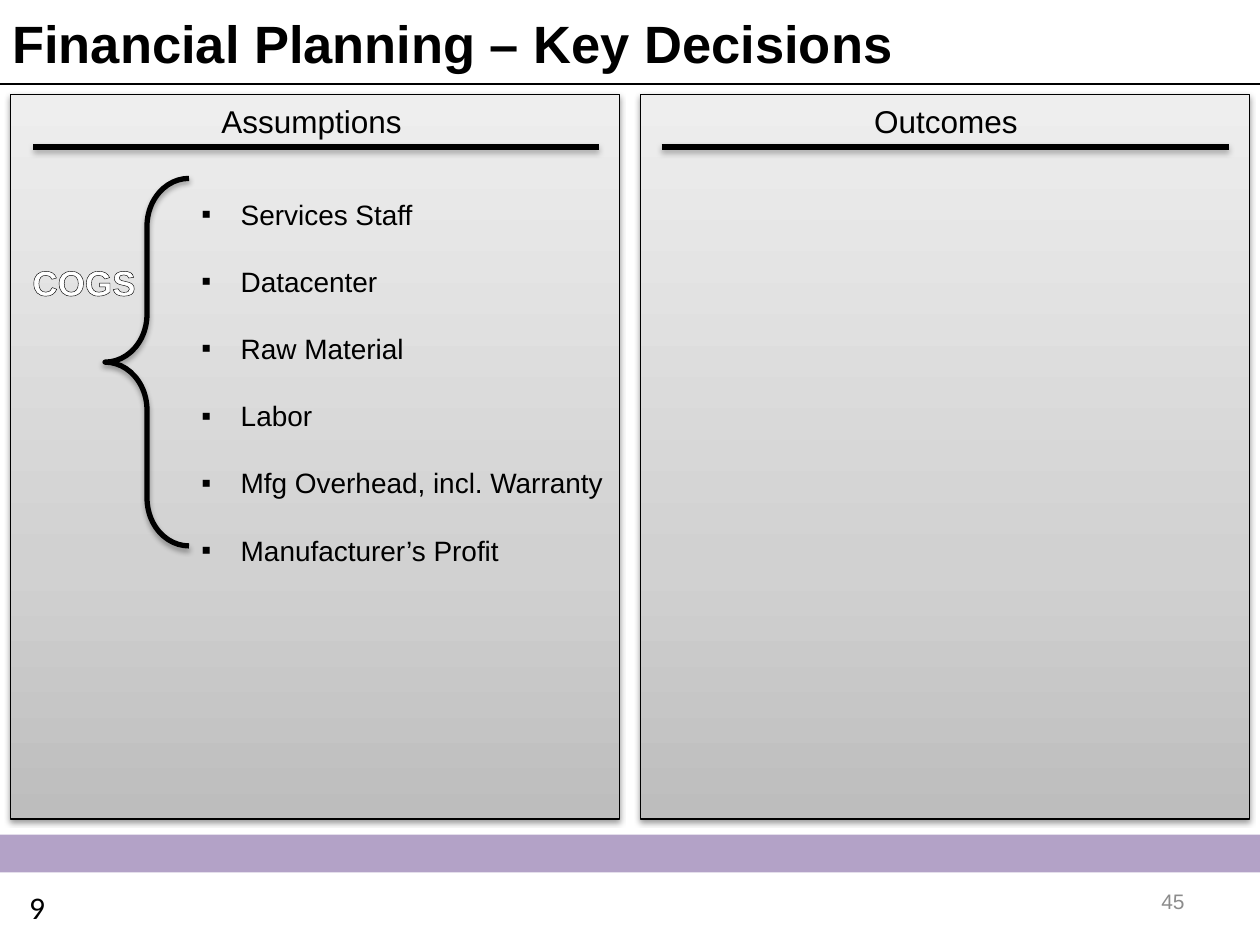
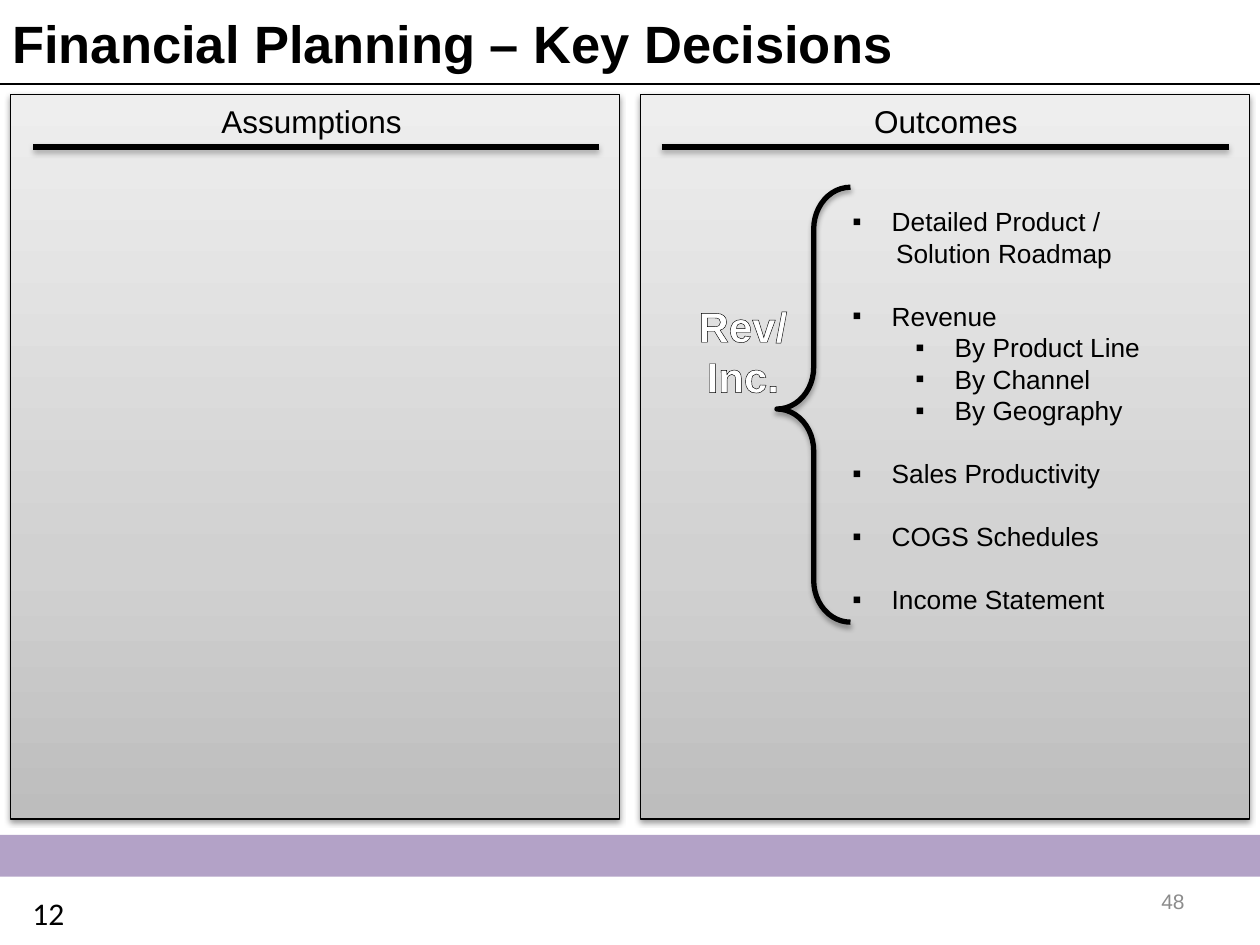
from dataclasses import dataclass

from lxml.etree import SubElement
from pptx import Presentation
from pptx.dml.color import RGBColor
from pptx.enum.shapes import MSO_CONNECTOR, MSO_SHAPE
from pptx.enum.text import MSO_ANCHOR, PP_ALIGN
from pptx.oxml.ns import qn
from pptx.util import Pt

BLACK, WHITE, GRAY, LAVENDER = "000000", "FFFFFF", "8C8C8C", "B3A2C7"
PANEL_STOPS = ((0, "BDBDBD"), (35, "D1D1D1"), (100, "EEEEEE"))
BULLET_INDENT = 22.5


@dataclass(frozen=True)
class Area:
    left: float
    top: float
    width: float
    height: float

    def lengths(self) -> tuple:
        return Pt(self.left), Pt(self.top), Pt(self.width), Pt(self.height)


@dataclass(frozen=True)
class Style:
    size: float
    color: str = BLACK
    bold: bool = False
    font: str = "Arial"
    outlined: bool = False


@dataclass(frozen=True)
class Shadow:
    blur: float
    distance: float
    opacity: int


@dataclass(frozen=True)
class Item:
    text: str
    indent: float = BULLET_INDENT
    bullet: bool = True
    spacing: float = 2


@dataclass(frozen=True)
class Panel:
    heading: str
    area: Area
    heading_area: Area
    rule_left: float
    rule_right: float


@dataclass(frozen=True)
class Decisions:
    items: tuple[Item, ...]
    items_area: Area
    item_size: float
    brace_area: Area
    brace_tip: float
    label: tuple[str, ...]
    label_area: Area
    label_size: float
    band_height: float
    step: str
    step_area: Area
    page_number: str


PANEL_SHADOW = Shadow(3.15, 1.57, 38)
LINE_SHADOW = Shadow(3.15, 1.81, 35)
PANELS = (
    Panel("Assumptions", Area(6, 54, 348, 414), Area(119.5, 55, 124, 29), 19, 342),
    Panel("Outcomes", Area(366, 54, 348, 414), Area(492.5, 55, 97, 29), 378, 702),
)


def sub_item(text: str) -> Item:
    return Item(text, indent=58.5, spacing=1)


COGS = Decisions(
    items=(
        Item("Services Staff"),
        Item("Datacenter"),
        Item("Raw Material"),
        Item("Labor"),
        Item("Mfg Overhead, incl. Warranty"),
        Item("Manufacturer’s Profit"),
    ),
    items_area=Area(108, 90, 271, 278.5),
    item_size=16,
    brace_area=Area(60, 102, 48, 210),
    brace_tip=0.5,
    label=("COGS",),
    label_area=Area(6, 145.5, 84, 45),
    label_size=20,
    band_height=21.5,
    step="9",
    step_area=Area(9.5, 504, 24, 29),
    page_number="45",
)
REVENUE = Decisions(
    items=(
        Item("Detailed Product /"),
        Item("Solution Roadmap", indent=25, bullet=False, spacing=1),
        Item("Revenue"),
        sub_item("By Product Line"),
        sub_item("By Channel"),
        sub_item("By Geography"),
        Item("Sales Productivity"),
        Item("COGS Schedules"),
        Item("Income Statement"),
    ),
    items_area=Area(480, 96, 210, 262),
    item_size=15,
    brace_area=Area(444, 107, 42, 248.5),
    brace_tip=0.51,
    label=("Rev/", "Inc."),
    label_area=Area(374.5, 168, 100, 65.5),
    label_size=24,
    band_height=24,
    step="12",
    step_area=Area(11.5, 507.5, 33, 29),
    page_number="48",
)


def rgb(color: str) -> RGBColor:
    return RGBColor.from_string(color)


def add_solid_fill(parent, color: str):
    """Append a solid fill element and return its colour element."""
    fill = SubElement(parent, qn("a:solidFill"))
    return SubElement(fill, qn("a:srgbClr"), val=color)


def add_span(para, text: str, style: Style) -> None:
    span = para.add_run()
    span.text = text
    font = span.font
    font.name, font.size, font.bold = style.font, Pt(style.size), style.bold
    font.color.rgb = rgb(style.color)
    if style.outlined:
        properties = span._r.get_or_add_rPr()
        outline = SubElement(properties, qn("a:ln"), w=str(Pt(0.83)))
        add_solid_fill(outline, BLACK)
        properties.insert(0, outline)


def add_text(page, area: Area, lines: tuple[str, ...], style: Style,
             align=PP_ALIGN.LEFT, anchor=MSO_ANCHOR.TOP, wrap: bool = True) -> None:
    frame = page.shapes.add_textbox(*area.lengths()).text_frame
    frame.word_wrap, frame.vertical_anchor = wrap, anchor
    for index, line in enumerate(lines):
        para = frame.add_paragraph() if index else frame.paragraphs[0]
        para.alignment = align
        add_span(para, line, style)


def add_items(page, area: Area, items: tuple[Item, ...], style: Style) -> None:
    frame = page.shapes.add_textbox(*area.lengths()).text_frame
    frame.word_wrap = True
    for index, item in enumerate(items):
        para = frame.add_paragraph() if index else frame.paragraphs[0]
        para.line_spacing = item.spacing
        properties = para._p.get_or_add_pPr()
        properties.set("marL", str(Pt(item.indent)))
        if item.bullet:
            properties.set("indent", str(-Pt(BULLET_INDENT)))
            SubElement(properties, qn("a:buFont"), typeface="Arial")
            SubElement(properties, qn("a:buChar"), char="▪")
        add_span(para, item.text, style)


def add_shadow(shape, shadow: Shadow | None) -> None:
    """Replace the theme shadow by the given one, or by none."""
    properties = shape._element.spPr
    effects = SubElement(properties, qn("a:effectLst"))
    if shadow:
        outer = SubElement(effects, qn("a:outerShdw"), blurRad=str(Pt(shadow.blur)),
                           dist=str(Pt(shadow.distance)), dir="5400000", rotWithShape="0")
        color = SubElement(outer, qn("a:srgbClr"), val=BLACK)
        SubElement(color, qn("a:alpha"), val=str(shadow.opacity * 1000))


def add_rule(page, left: float, right: float, top: float, weight: float,
             shadow: Shadow | None = None) -> None:
    rule = page.shapes.add_connector(MSO_CONNECTOR.STRAIGHT, Pt(left), Pt(top), Pt(right), Pt(top))
    rule.line.color.rgb = rgb(BLACK)
    rule.line.width = Pt(weight)
    add_shadow(rule, shadow)


def add_panel(page, panel: Panel) -> None:
    box = page.shapes.add_shape(MSO_SHAPE.RECTANGLE, *panel.area.lengths())
    box.fill.gradient()
    box.fill.gradient_angle = 90
    stops = box._element.spPr.find(qn("a:gradFill")).find(qn("a:gsLst"))
    for stop in list(stops):
        stops.remove(stop)
    for position, color in PANEL_STOPS:
        stop = SubElement(stops, qn("a:gs"), pos=str(position * 1000))
        SubElement(stop, qn("a:srgbClr"), val=color)
    box.line.color.rgb = rgb(BLACK)
    box.line.width = Pt(0.75)
    add_shadow(box, PANEL_SHADOW)
    add_text(page, panel.heading_area, (panel.heading,), Style(18), wrap=False)
    add_rule(page, panel.rule_left, panel.rule_right, 84, 3, LINE_SHADOW)


def add_brace(page, area: Area, tip: float) -> None:
    brace = page.shapes.add_shape(MSO_SHAPE.LEFT_BRACE, *area.lengths())
    brace.adjustments[0], brace.adjustments[1] = 0.57, tip
    brace.fill.background()
    brace.line.color.rgb = rgb(BLACK)
    brace.line.width = Pt(3)
    add_shadow(brace, LINE_SHADOW)


def add_band(page, height: float) -> None:
    band = page.shapes.add_shape(MSO_SHAPE.RECTANGLE, *Area(0, 477, 720, height).lengths())
    band.fill.solid()
    band.fill.fore_color.rgb = rgb(LAVENDER)
    band.line.fill.background()
    add_shadow(band, None)


def add_decisions_page(deck, decisions: Decisions) -> None:
    page = deck.slides.add_slide(deck.slide_layouts[6])
    add_text(page, Area(516, 500.5, 168, 29), (decisions.page_number,), Style(12, GRAY),
             PP_ALIGN.RIGHT, MSO_ANCHOR.MIDDLE)
    add_text(page, Area(0, 0, 720, 49), ("Financial Planning – Key Decisions",),
             Style(30, bold=True), anchor=MSO_ANCHOR.MIDDLE)
    add_rule(page, 0, 720, 48, 1)
    for panel in PANELS:
        add_panel(page, panel)
    add_items(page, decisions.items_area, decisions.items, Style(decisions.item_size))
    add_brace(page, decisions.brace_area, decisions.brace_tip)
    add_text(page, decisions.label_area, decisions.label,
             Style(decisions.label_size, WHITE, bold=True, outlined=True), PP_ALIGN.CENTER)
    add_band(page, decisions.band_height)
    add_text(page, decisions.step_area, (decisions.step,), Style(18, font="Calibri"), wrap=False)


def main() -> None:
    deck = Presentation()
    deck.slide_width, deck.slide_height = Pt(720), Pt(540)
    for decisions in (COGS, REVENUE):
        add_decisions_page(deck, decisions)
    deck.save("out.pptx")


if __name__ == "__main__":
    main()
